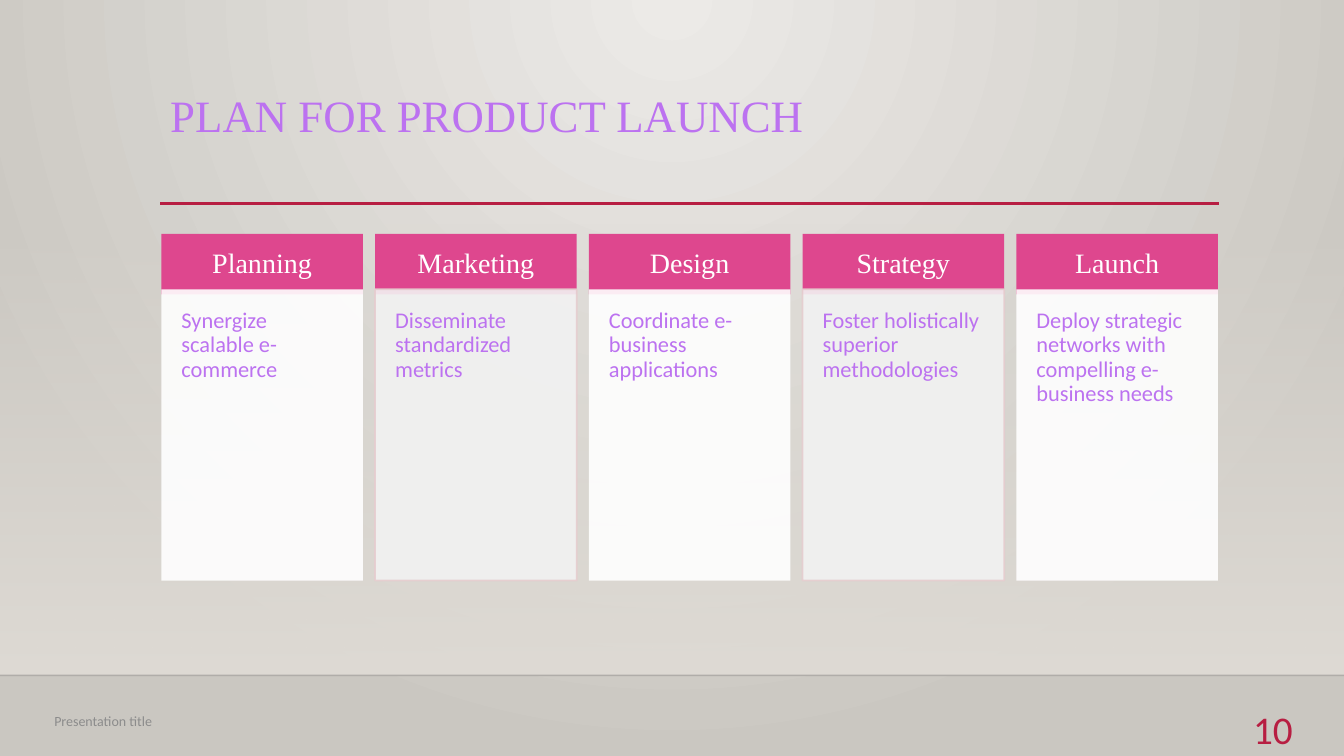
from lxml import etree
from pptx import Presentation
from pptx import util as u
from pptx.dml.color import RGBColor
from pptx.enum import shapes, text
from pptx.oxml.ns import qn

WIDTH, HEIGHT = 13.33, 7.5
SERIF, SANS = "Times New Roman", "Calibri"

WHITE = RGBColor(0xFF, 0xFF, 0xFF)
PALE_GREY = RGBColor(0xF2, 0xF2, 0xF2)
PALE_ROSE = RGBColor(0xE6, 0xCD, 0xCF)
PINK = RGBColor(0xDE, 0x47, 0x8E)
CRIMSON = RGBColor(0xB7, 0x1E, 0x42)
VIOLET = RGBColor(0xBC, 0x72, 0xF0)
GREY = RGBColor(0x8C, 0x8C, 0x8C)
BLACK = RGBColor(0x00, 0x00, 0x01)
SAND = RGBColor(0xDF, 0xDB, 0xD5)
LIGHT_STONE = RGBColor(0xEC, 0xEA, 0xE7)
DARK_STONE = RGBColor(0xCA, 0xC7, 0xC1)

STAGES = [
    ("Planning", "Synergize scalable e-commerce"),
    ("Marketing", "Disseminate standardized metrics"),
    ("Design", "Coordinate e-business applications"),
    ("Strategy", "Foster holistically superior methodologies"),
    ("Launch", "Deploy strategic networks with compelling e-business needs"),
]


def set_opacity(color_element, percent):
    alpha = etree.SubElement(color_element, qn("a:alpha"))
    alpha.set("val", str(percent * 1000))


def colors_of(shape):
    return list(shape._element.spPr.iter(qn("a:srgbClr")))


def set_gradient(fill, start, end):
    fill.gradient()
    for stop, color, position in zip(fill.gradient_stops, (start, end), (0, 1)):
        stop.color.rgb = color
        stop.position = position


def add_rectangle(slide, box, color=None):
    shape = slide.shapes.add_shape(
        shapes.MSO_SHAPE.RECTANGLE, *(u.Inches(n) for n in box))
    shape.shadow.inherit = False
    shape.line.fill.background()
    if color is not None:
        shape.fill.solid()
        shape.fill.fore_color.rgb = color
    return shape


def add_rule(slide, left, right, top, color, weight):
    rule = slide.shapes.add_connector(
        shapes.MSO_CONNECTOR.STRAIGHT,
        u.Inches(left), u.Inches(top), u.Inches(right), u.Inches(top))
    rule.line.color.rgb = color
    rule.line.width = u.Pt(weight)
    etree.SubElement(rule._element.spPr, qn("a:effectLst"))
    return rule


def write(shape, words, size, color, font=SANS, align=text.PP_ALIGN.LEFT,
          anchor=text.MSO_ANCHOR.TOP, insets=(0.1, 0.05), spacing=1.0):
    frame = shape.text_frame
    frame.word_wrap = True
    frame.vertical_anchor = anchor
    frame.margin_left = frame.margin_right = u.Inches(insets[0])
    frame.margin_top = frame.margin_bottom = u.Inches(insets[1])
    paragraph = frame.paragraphs[0]
    paragraph.alignment = align
    paragraph.line_spacing = spacing
    run = paragraph.add_run()
    run.text = words
    run.font.size = u.Pt(size)
    run.font.name = font
    run.font.color.rgb = color


def add_text(slide, box, words, **style):
    write(slide.shapes.add_textbox(*(u.Inches(n) for n in box)), words, **style)


def add_backdrop(slide, floor_top, floor_bottom):
    # Glow from the top centre
    set_gradient(slide.background.fill, LIGHT_STONE, DARK_STONE)
    gradient = next(slide._element.iter(qn("a:gradFill")))
    gradient.remove(gradient.find(qn("a:lin")))
    glow = etree.SubElement(gradient, qn("a:path"), {"path": "circle"})
    etree.SubElement(glow, qn("a:fillToRect"),
                     {"l": "43000", "t": "0", "r": "43000", "b": "100000"})

    # Wall fading in towards the floor line
    wall = add_rectangle(slide, (0, floor_top, WIDTH, floor_bottom - floor_top))
    set_gradient(wall.fill, SAND, SAND)
    wall.fill.gradient_angle = 270
    set_opacity(colors_of(wall)[0], 0)
    edge = add_rule(slide, 0, WIDTH, floor_bottom, BLACK, 1)
    set_opacity(colors_of(edge)[0], 20)


def add_title(slide, box, words):
    left, top, width, height = box
    add_rule(slide, left, left + width, top + height, CRIMSON, 2.5)
    add_text(slide, box, words, size=32, color=VIOLET, font=SERIF, spacing=0.9)


def add_stage(slide, box, heading, detail, shaded):
    left, top, width, height = box
    header_height, overlap = 0.6, 0.05
    header = add_rectangle(slide, (left, top, width, header_height), PINK)
    write(header, heading, size=20, color=WHITE, font=SERIF,
          align=text.PP_ALIGN.CENTER, anchor=text.MSO_ANCHOR.MIDDLE,
          insets=(0.16, 0.16), spacing=0.9)

    body_offset = header_height - overlap
    panel = add_rectangle(
        slide, (left, top + body_offset, width, height - body_offset),
        PALE_GREY if shaded else WHITE)
    if shaded:
        panel.line.color.rgb = PALE_ROSE
        panel.line.width = u.Pt(1.25)
    for color_element in colors_of(panel):
        set_opacity(color_element, 90)
    write(panel, detail, size=16, color=VIOLET, insets=(0.2, 0.2), spacing=0.9)


def add_stages(slide, box, stages, gap=0.12):
    left, top, width, height = box
    column = (width - gap * (len(stages) - 1)) / len(stages)
    for index, (heading, detail) in enumerate(stages):
        place = (left + index * (column + gap), top, column, height)
        add_stage(slide, place, heading, detail, shaded=index % 2 == 1)


def add_footer(slide, box, label, number):
    left, top, width, height = box
    add_text(slide, (left, top, 4.5, height), label, size=10, color=GREY,
             anchor=text.MSO_ANCHOR.MIDDLE)
    add_text(slide, (left + width - 3, top, 3, height), number, size=28,
             color=CRIMSON, align=text.PP_ALIGN.RIGHT)


def main():
    presentation = Presentation()
    presentation.slide_width = u.Inches(WIDTH)
    presentation.slide_height = u.Inches(HEIGHT)
    slide = presentation.slides.add_slide(presentation.slide_layouts[6])

    add_backdrop(slide, floor_top=2.21, floor_bottom=6.7)
    add_title(slide, (1.59, 0.88, 10.5, 1.14), "PLAN FOR PRODUCT LAUNCH")
    add_stages(slide, (1.6, 2.32, 10.48, 3.44), STAGES)
    add_footer(slide, (0.44, 6.95, 12.48, 0.4), "Presentation title", "10")
    presentation.save("out.pptx")


if __name__ == "__main__":
    main()
